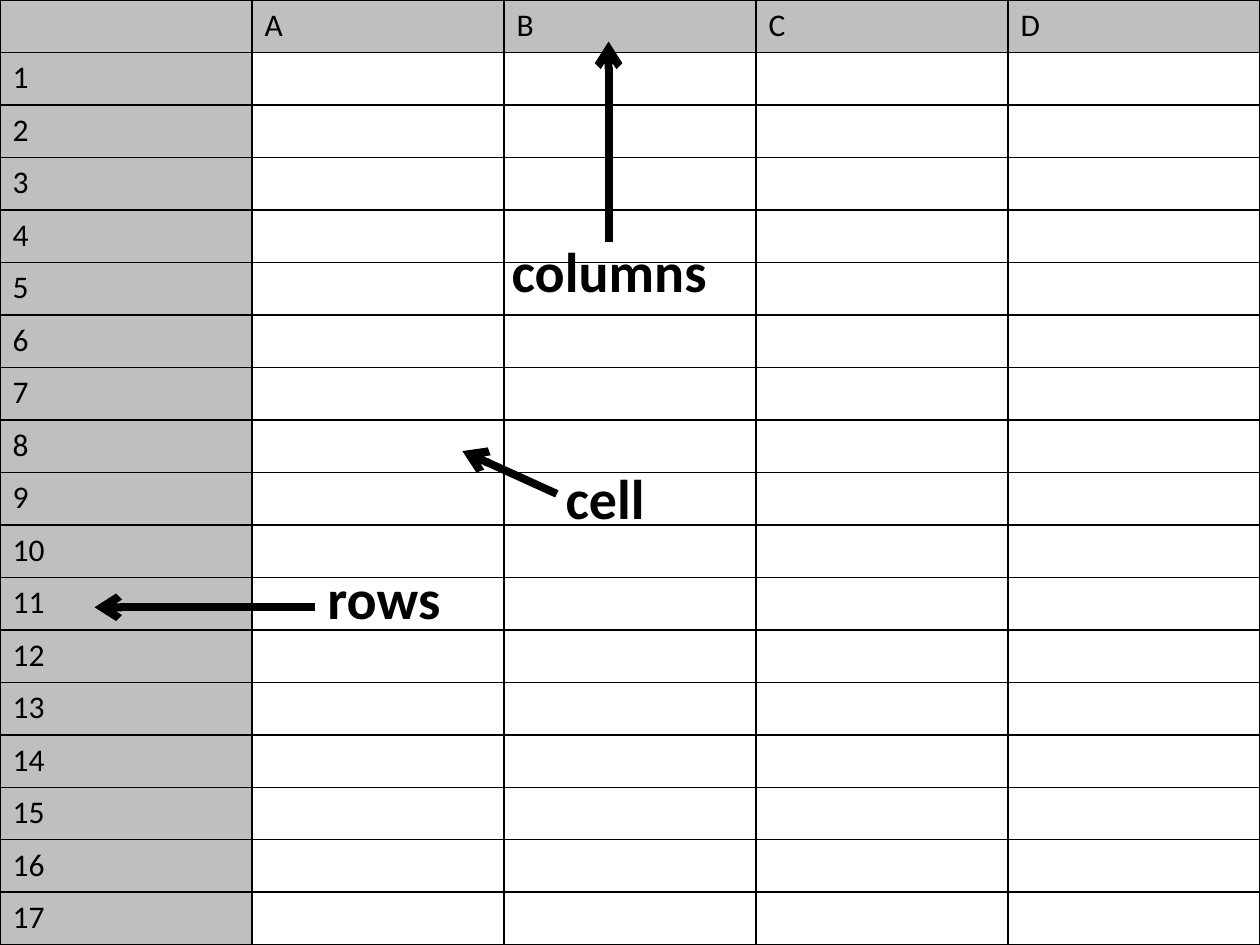
from lxml import etree
from pptx import Presentation
from pptx import util as u
from pptx.dml.color import RGBColor
from pptx.enum import shapes, text
from pptx.oxml.ns import qn

BLACK, HEADER_GRAY = "000000", "BFBFBF"


def color(hex_value):
    return RGBColor.from_string(hex_value)


def add_run(paragraph, words, size, bold):
    run = paragraph.add_run()
    run.text = words
    run.font.name = "Calibri"
    run.font.size = u.Pt(size)
    run.font.bold = bold
    run.font.color.rgb = color(BLACK)


prs = Presentation()
prs.slide_width, prs.slide_height = u.Inches(10), u.Inches(7.5)
slide = prs.slides.add_slide(prs.slide_layouts[6])

column_letters = "ABCD"
row_count = 17
sheet = slide.shapes.add_table(
    row_count + 1, len(column_letters) + 1, 0, 0, prs.slide_width, prs.slide_height
).table
sheet.first_row = False
sheet.horz_banding = False

for row in range(row_count + 1):
    for col in range(len(column_letters) + 1):
        cell = sheet.cell(row, col)
        cell_props = cell._tc.get_or_add_tcPr()
        for side in ("a:lnL", "a:lnR", "a:lnT", "a:lnB"):
            border = etree.SubElement(cell_props, qn(side), w=str(u.Pt(1)))
            border_fill = etree.SubElement(border, qn("a:solidFill"))
            etree.SubElement(border_fill, qn("a:srgbClr"), val=BLACK)
        if row and col:
            cell.fill.background()
            continue
        cell.fill.solid()
        cell.fill.fore_color.rgb = color(HEADER_GRAY)
        if row or col:
            heading = str(row) if row else column_letters[col - 1]
            add_run(cell.text_frame.paragraphs[0], heading, 18, False)

callouts = [
    ("rows", (2.5, 4.55, 1.38), (2.5, 4.82, 0.75, 4.82), text.PP_ALIGN.LEFT),
    ("columns", (3.45, 1.95, 2.77), (4.83, 1.92, 4.83, 0.33), text.PP_ALIGN.CENTER),
    ("cell", (4.39, 3.75, 1.38), (4.42, 3.92, 3.67, 3.58), text.PP_ALIGN.LEFT),
]
for term, (left, top, width), arrow_ends, alignment in callouts:
    arrow = slide.shapes.add_connector(
        shapes.MSO_CONNECTOR.STRAIGHT, *[u.Inches(end) for end in arrow_ends]
    )
    arrow.line.color.rgb = color(BLACK)
    arrow.line.width = u.Pt(4.5)
    etree.SubElement(arrow.line._get_or_add_ln(), qn("a:tailEnd"), type="arrow")
    etree.SubElement(arrow._element.spPr, qn("a:effectLst"))

    label = slide.shapes.add_textbox(
        u.Inches(left), u.Inches(top), u.Inches(width), u.Inches(0.54)
    ).text_frame
    label.word_wrap = True
    label.auto_size = text.MSO_AUTO_SIZE.SHAPE_TO_FIT_TEXT
    paragraph = label.paragraphs[0]
    paragraph.alignment = alignment
    paragraph.line_spacing = u.Pt(29.5)
    add_run(paragraph, term, 32, True)

prs.save("out.pptx")
